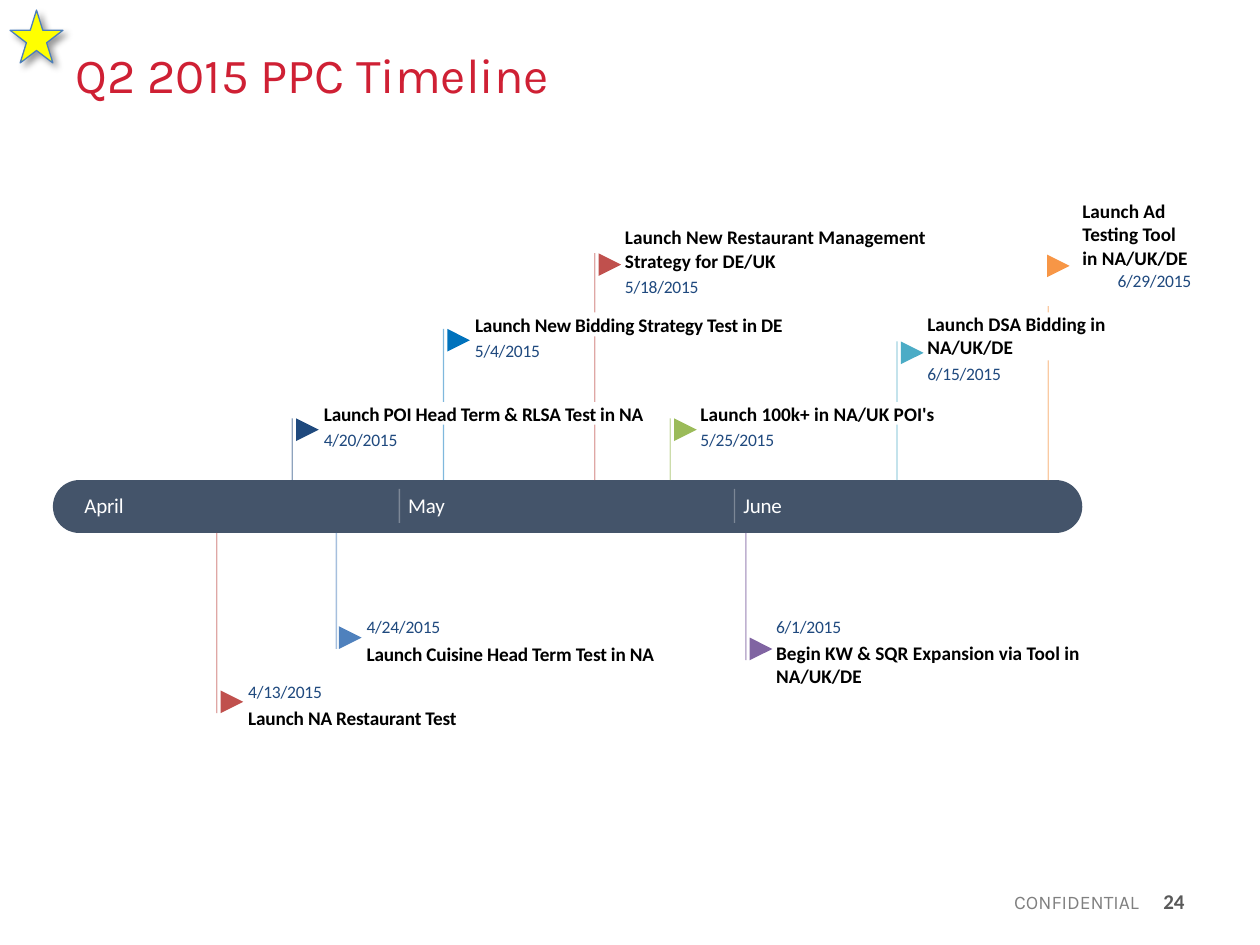
from lxml import etree
from pptx import Presentation
from pptx.dml.color import RGBColor
from pptx.enum.shapes import MSO_CONNECTOR, MSO_SHAPE
from pptx.enum.text import MSO_ANCHOR, PP_ALIGN
from pptx.oxml import parse_xml
from pptx.oxml.ns import nsdecls, qn
from pptx.util import Inches, Pt

COLORS = {
    "title": "CF2034", "footer": "808080", "number": "595959",
    "bar": "44546A", "white": "FFFFFF", "label": "000000", "date": "1F497E",
    "navy": "1F497D", "azure": "0072BC", "red": "C0504D", "green": "9BBB59",
    "teal": "4BACC6", "orange": "F79646", "blue": "4F81BD", "purple": "8064A2",
    "star": "FFFF00", "star_edge": "4B7EBC",
}
BAR_TOP, BAR_HEIGHT = 3.81, 0.42
BAR_BOTTOM = BAR_TOP + BAR_HEIGHT
FLAG = 0.18
DATE_HEIGHT = 0.17

prs = Presentation()
prs.slide_width, prs.slide_height = Inches(10), Inches(7.5)
slide = prs.slides.add_slide(prs.slide_layouts[5])
shapes = slide.shapes


def add_label(text, left, top, width, height, size, color, bold=False,
              font="Calibri", align=PP_ALIGN.LEFT, inset=0, spacing=0):
    """Add a one-run text box; spacing is in hundredths of a point."""
    frame = shapes.add_textbox(Inches(left), Inches(top),
                               Inches(width), Inches(height)).text_frame
    frame.word_wrap = True
    frame.vertical_anchor = MSO_ANCHOR.MIDDLE
    frame.margin_left = frame.margin_right = Inches(inset)
    frame.margin_top = frame.margin_bottom = 0
    paragraph = frame.paragraphs[0]
    paragraph.alignment = align
    run = paragraph.add_run()
    run.text = text
    run.font.name, run.font.size, run.font.bold = font, Pt(size), bold
    run.font.color.rgb = RGBColor.from_string(COLORS[color])
    if spacing:
        run._r.get_or_add_rPr().set("spc", str(spacing))


def add_vertical(x, top, bottom, color, opacity):
    """Draw a thin, partly transparent vertical line."""
    line = shapes.add_connector(MSO_CONNECTOR.STRAIGHT, Inches(x), Inches(top),
                                Inches(x), Inches(bottom))
    line.line.width = Pt(0.75)
    line.line.color.rgb = RGBColor.from_string(COLORS[color])
    properties = line._element.spPr
    srgb = properties.find(".//" + qn("a:srgbClr"))
    etree.SubElement(srgb, qn("a:alpha"), val=str(opacity * 1000))
    etree.SubElement(properties, qn("a:effectLst"))


# Title and footer
title = shapes.title
title.left, title.top = Inches(0.5), Inches(0.3)
title.width, title.height = Inches(9), Inches(0.64)
title_frame = title.text_frame
title_frame.vertical_anchor = MSO_ANCHOR.TOP
title_frame.margin_top = Inches(0.05)
heading = title_frame.paragraphs[0]
heading.alignment = PP_ALIGN.LEFT
heading_run = heading.add_run()
heading_run.text = "Q2 2015 PPC Timeline"
heading_run.font.name, heading_run.font.size = "Karla", Pt(28)
heading_run.font.color.rgb = RGBColor.from_string(COLORS["title"])

add_label("CONFIDENTIAL", 7.56, 7.01, 1.58, 0.3, 11, "footer",
          font="Karla", align=PP_ALIGN.RIGHT, inset=0.1)
add_label("24", 9.07, 6.95, 0.43, 0.4, 12, "number", bold=True,
          align=PP_ALIGN.RIGHT, inset=0.1)

# Month bar
bar = shapes.add_shape(MSO_SHAPE.ROUNDED_RECTANGLE, Inches(0.42), Inches(BAR_TOP),
                       Inches(8.17), Inches(BAR_HEIGHT))
bar.adjustments[0] = 0.5
bar.shadow.inherit = False
bar.fill.solid()
bar.fill.fore_color.rgb = RGBColor.from_string(COLORS["bar"])
bar.line.fill.background()

for month, left, divider in [("April", 0.67, None), ("May", 3.24, 3.17),
                             ("June", 5.9, 5.83)]:
    if divider:
        add_vertical(divider, 3.88, 4.15, "white", 30)
    add_label(month, left, 3.91, 0.5, 0.2, 12, "white", spacing=-10)

# Milestones: text, lines of text, letter spacing, date, colour, flag (left, top),
# label (left, top, width), date (left, top), stem (x, [(top, bottom)])
UPPER_ROW = (3.37, BAR_TOP)
milestones = [
    ("Launch POI Head Term & RLSA Test in NA", 1, -10, "4/20/2015", "navy",
     (2.35, 3.32), (2.57, 3.19, 2.75), (2.57, 3.4), (2.32, [(3.32, BAR_TOP)])),
    ("Launch New Bidding Strategy Test in DE", 1, -10, "5/4/2015", "azure",
     (3.55, 2.61), (3.77, 2.48, 2.65), (3.77, 2.7),
     (3.52, [(2.61, 3.19), UPPER_ROW])),
    ("Launch New Restaurant Management Strategy for DE/UK", 2, 0, "5/18/2015", "red",
     (4.75, 2.01), (4.96, 1.79, 2.42), (4.96, 2.19),
     (4.72, [(2.01, 2.48), (2.67, 3.19), UPPER_ROW])),
    ("Launch 100k+ in NA/UK POI's", 1, 0, "5/25/2015", "green",
     (5.35, 3.32), (5.56, 3.19, 2), (5.56, 3.4), (5.32, [(3.32, BAR_TOP)])),
    ("Launch DSA Bidding in NA/UK/DE", 2, 0, "6/15/2015", "teal",
     (7.15, 2.71), (7.36, 2.48, 2.01), (7.36, 2.88),
     (7.12, [(2.71, 3.19), UPPER_ROW])),
    ("Launch Ad Testing Tool in NA/UK/DE", 3, 0, "6/29/2015", "orange",
     (8.31, 2.02), (8.59, 1.58, 0.85), (8.87, 2.14),
     (8.32, [(2.43, 2.48), (2.86, BAR_TOP)])),
    ("Launch NA Restaurant Test", 1, -10, "4/13/2015", "red",
     (1.75, 5.48), (1.97, 5.6, 1.85), (1.97, 5.4), (1.72, [(BAR_BOTTOM, 5.66)])),
    ("Launch Cuisine Head Term Test in NA", 1, -10, "4/24/2015", "blue",
     (2.69, 4.97), (2.91, 5.09, 2.5), (2.91, 4.89), (2.67, [(BAR_BOTTOM, 5.15)])),
    ("Begin KW & SQR Expansion via Tool in NA/UK/DE", 2, 0, "6/1/2015", "purple",
     (5.95, 5.06), (6.16, 5.09, 2.71), (6.16, 4.89), (5.92, [(BAR_BOTTOM, 5.24)])),
]
LABEL_HEIGHTS = {1: 0.19, 2: 0.37, 3: 0.56}

for (text, rows, spacing, date, color, flag_at, label_at, date_at,
     (stem_x, pieces)) in milestones:
    for top, bottom in pieces:
        add_vertical(stem_x, top, bottom, color, 50)
    add_label(text, *label_at, LABEL_HEIGHTS[rows], 11, "label", bold=True,
              spacing=spacing)
    add_label(date, *date_at, 0.7, DATE_HEIGHT, 10, "date", spacing=-10)
    flag = shapes.add_shape(MSO_SHAPE.FLOWCHART_MERGE, Inches(flag_at[0]),
                            Inches(flag_at[1]), Inches(FLAG), Inches(FLAG))
    flag.rotation = 270
    flag.shadow.inherit = False
    flag.fill.solid()
    flag.fill.fore_color.rgb = RGBColor.from_string(COLORS[color])
    flag.line.fill.background()

# Star with a soft shadow
star = shapes.add_shape(MSO_SHAPE.STAR_5_POINT, Inches(0.08), Inches(0.08),
                        Inches(0.42), Inches(0.42))
star.fill.solid()
star.fill.fore_color.rgb = RGBColor.from_string(COLORS["star"])
star.line.color.rgb = RGBColor.from_string(COLORS["star_edge"])
star.line.width = Pt(0.75)
star._element.spPr.append(parse_xml(
    f'<a:effectLst {nsdecls("a")}>'
    f'<a:outerShdw blurRad="{Pt(4)}" dist="{Pt(3)}" dir="2700000" algn="tl" '
    'rotWithShape="0"><a:srgbClr val="000000"><a:alpha val="40000"/></a:srgbClr>'
    '</a:outerShdw></a:effectLst>'))

prs.save("out.pptx")
